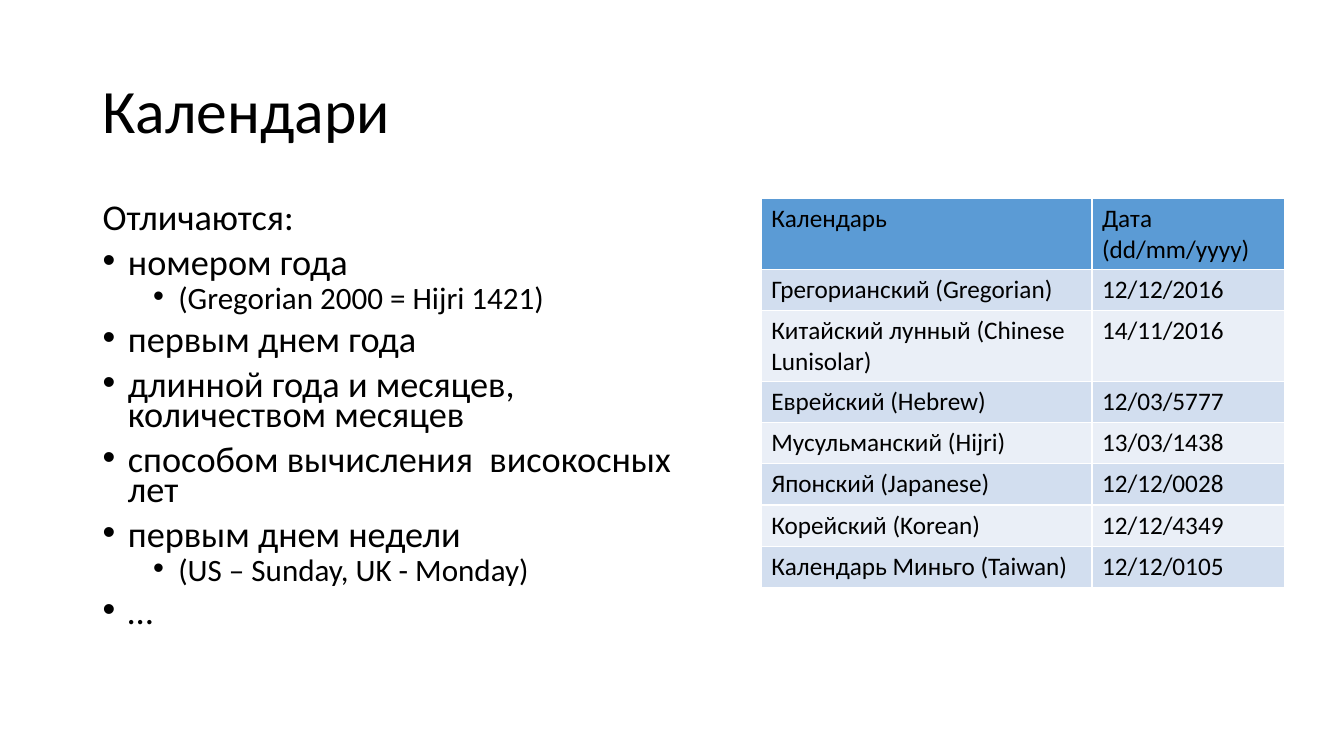
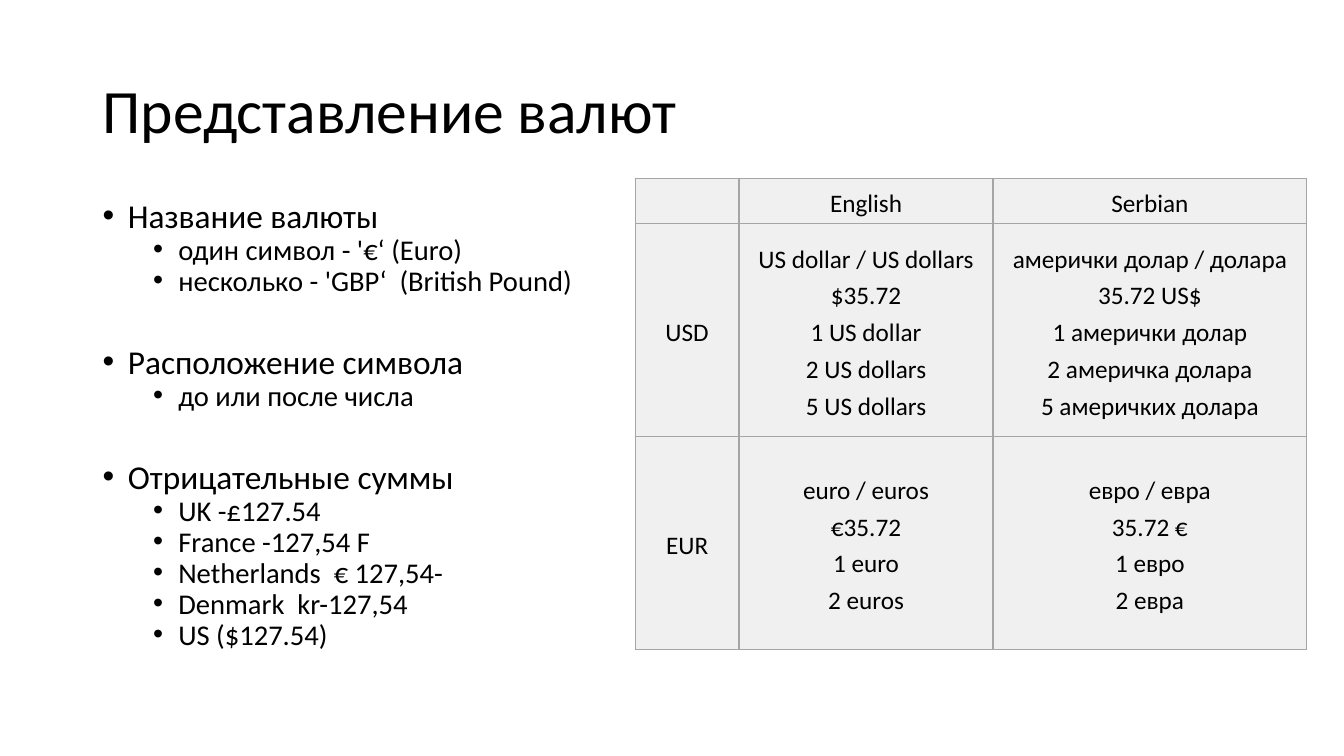
from lxml import etree
from pptx import Presentation
from pptx import util as u
from pptx.dml.color import RGBColor
from pptx.enum import text
from pptx.oxml import ns

FONT = "Calibri"
COLORS = {
    "text": "000000",
    "header": "5B9BD5",
    "band_dark": "D2DEEF",
    "band_light": "EAEFF7",
    "white": "FFFFFF",
    "cell": "F0F0F0",
    "line": "A5A5A5",
}
TABLE_SIZE = 18
GROUP_GAP = 40
BORDER_SIDES = ("lnL", "lnR", "lnT", "lnB")

# Each item: style, text, and whether it starts a new group
SLIDES = [
    {
        "title": "Календари",
        "body_width": 5.92,
        "sizes": {"plain": 25.9, "main": 25.9, "sub": 22.2},
        "items": [
            ("plain", "Отличаются:", False),
            ("main", "номером года", False),
            ("sub", "(Gregorian 2000 = Hijri 1421)", False),
            ("main", "первым днем года", False),
            ("main", "длинной года и месяцев, количеством месяцев", False),
            ("main", "способом вычисления  високосных лет", False),
            ("main", "первым днем недели", False),
            ("sub", "(US – Sunday, UK - Monday)", False),
            ("main", "…", False),
        ],
        "table": {
            "at": (7.55, 1.97),
            "columns": [3.28, 1.91],
            "rows": [0.41] * 8,
            "fills": ["header"] + ["band_dark", "band_light"] * 3 + ["band_dark"],
            "border": "white",
            "centered": False,
            "cells": [
                ("Календарь", "Дата (dd/mm/yyyy)"),
                ("Грегорианский (Gregorian)", "12/12/2016"),
                ("Китайский лунный (Chinese Lunisolar)", "14/11/2016"),
                ("Еврейский (Hebrew)", "12/03/5777"),
                ("Мусульманский (Hijri)", "13/03/1438"),
                ("Японский (Japanese)", "12/12/0028"),
                ("Корейский (Korean)", "12/12/4349"),
                ("Календарь Миньго (Taiwan)", "12/12/0105"),
            ],
        },
    },
    {
        "title": "Представление валют",
        "body_width": 5.12,
        "sizes": {"main": 23.8, "sub": 20.4},
        "items": [
            ("main", "Название валюты", False),
            ("sub", "один символ - '€‘ (Euro)", False),
            ("sub", "несколько - 'GBP‘  (British Pound)", False),
            ("main", "Расположение символа", True),
            ("sub", "до или после числа", False),
            ("main", "Отрицательные суммы", True),
            ("sub", "UK -£127.54", False),
            ("sub", "France -127,54 F", False),
            ("sub", "Netherlands  € 127,54-", False),
            ("sub", "Denmark  kr-127,54", False),
            ("sub", "US ($127.54)", False),
        ],
        "table": {
            "at": (6.3, 1.77),
            "columns": [1.03, 2.52, 3.11],
            "rows": [0.45, 2.11, 2.11],
            "fills": ["cell"] * 3,
            "border": "line",
            "centered": True,
            "cells": [
                ("", "English", "Serbian"),
                (
                    "USD",
                    "US dollar / US dollars\n$35.72\n1 US dollar\n2 US dollars\n5 US dollars",
                    "амерички долар / долара\n35.72 US$\n1 амерички долар\n"
                    "2 америчка долара\n5 америчких долара",
                ),
                (
                    "EUR",
                    "euro / euros\n€35.72\n1 euro\n2 euros",
                    "евро / евра\n35.72 €\n1 евро\n2 евра",
                ),
            ],
        },
    },
]


def write(para, words, size, line_spacing):
    para.text = words
    para.line_spacing = line_spacing
    for span in para.runs:
        span.font.name = FONT
        span.font.size = u.Pt(size)
        span.font.color.rgb = RGBColor.from_string(COLORS["text"])


def add_border(cell, color):
    properties = cell._tc.get_or_add_tcPr()
    for side in BORDER_SIDES:
        line = etree.SubElement(properties, ns.qn(f"a:{side}"), w=str(u.Pt(1)))
        fill = etree.SubElement(line, ns.qn("a:solidFill"))
        etree.SubElement(fill, ns.qn("a:srgbClr"), val=color)


deck = Presentation()
deck.slide_width = u.Inches(13.33)
deck.slide_height = u.Inches(7.5)

for content in SLIDES:
    page = deck.slides.add_slide(deck.slide_layouts[6])

    title = page.shapes.add_textbox(
        u.Inches(0.92), u.Inches(0.4), u.Inches(11.5), u.Inches(1.45)
    )
    title.text_frame.word_wrap = True
    title.text_frame.vertical_anchor = text.MSO_ANCHOR.MIDDLE
    write(title.text_frame.paragraphs[0], content["title"], 44, 0.9)

    body = page.shapes.add_textbox(
        u.Inches(0.92), u.Inches(2), u.Inches(content["body_width"]), u.Inches(4.76)
    )
    frame = body.text_frame
    frame.word_wrap = True
    for index, (style, words, starts_group) in enumerate(content["items"]):
        para = frame.add_paragraph() if index else frame.paragraphs[0]
        if style != "plain":
            para.level = 1 if style == "sub" else 0
            properties = para._p.get_or_add_pPr()
            properties.set("marL", str(u.Inches(0.25 + 0.5 * para.level)))
            properties.set("indent", str(u.Inches(-0.25)))
            etree.SubElement(properties, ns.qn("a:buFont"), typeface="Arial")
            etree.SubElement(properties, ns.qn("a:buChar"), char="•")
        write(para, words, content["sizes"][style], 0.7)
        if starts_group:
            para.space_before = u.Pt(GROUP_GAP)
        elif index:
            para.space_before = u.Pt(5 if style == "sub" else 10)

    grid = content["table"]
    left, top = grid["at"]
    table = page.shapes.add_table(
        len(grid["rows"]), len(grid["columns"]),
        u.Inches(left), u.Inches(top),
        u.Inches(sum(grid["columns"])), u.Inches(sum(grid["rows"])),
    ).table
    for column, width in zip(table.columns, grid["columns"]):
        column.width = u.Inches(width)
    for row, height, fill, texts in zip(
        table.rows, grid["rows"], grid["fills"], grid["cells"]
    ):
        row.height = u.Inches(height)
        for cell, words in zip(row.cells, texts):
            add_border(cell, COLORS[grid["border"]])
            cell.fill.solid()
            cell.fill.fore_color.rgb = RGBColor.from_string(COLORS[fill])
            para = cell.text_frame.paragraphs[0]
            write(para, words, TABLE_SIZE, 1.2 if grid["centered"] else 1.0)
            if grid["centered"]:
                para.alignment = text.PP_ALIGN.CENTER
                cell.vertical_anchor = text.MSO_ANCHOR.MIDDLE
                cell.margin_left = cell.margin_right = u.Inches(0.03)
                cell.margin_top = cell.margin_bottom = u.Inches(0.02)

deck.save("out.pptx")
